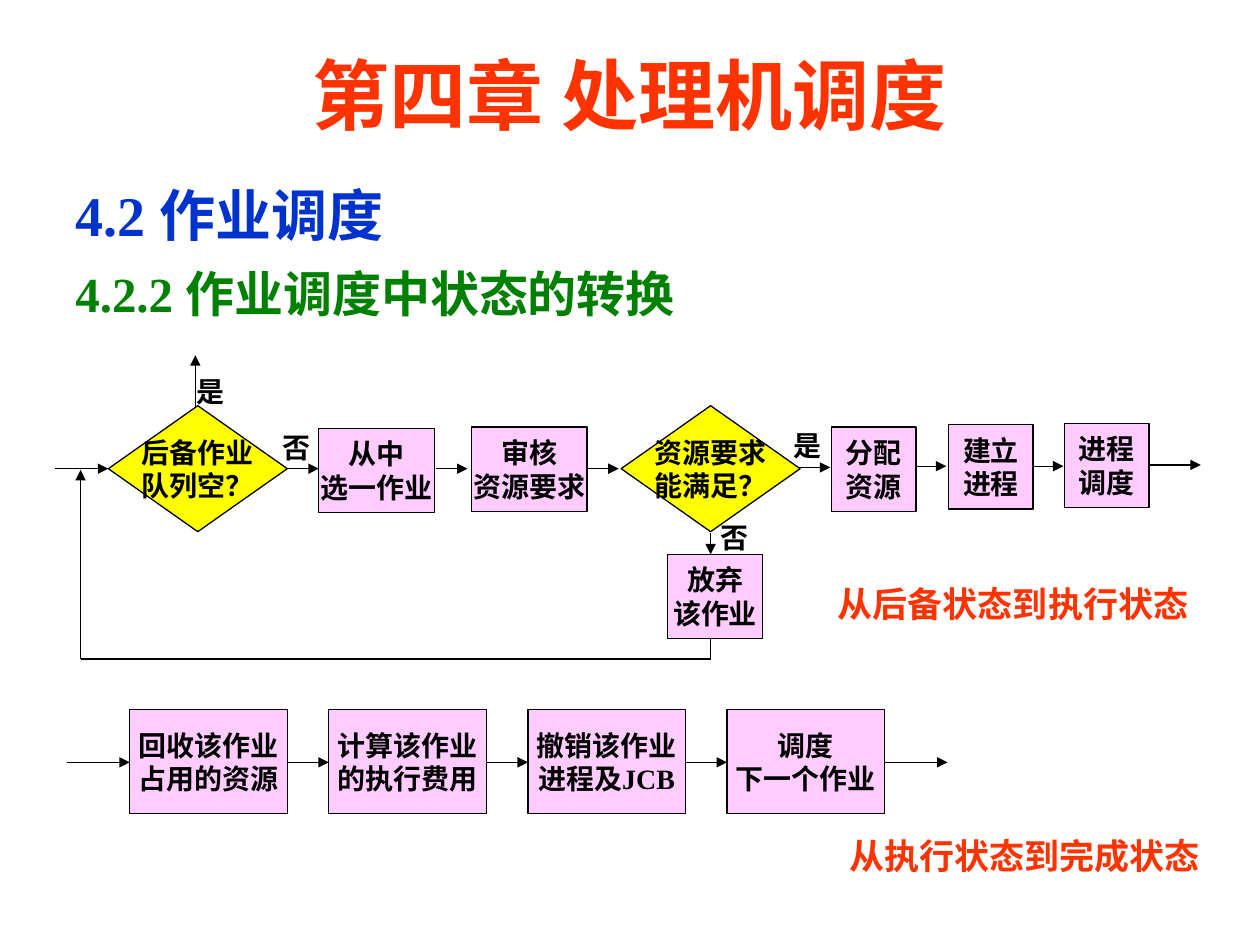
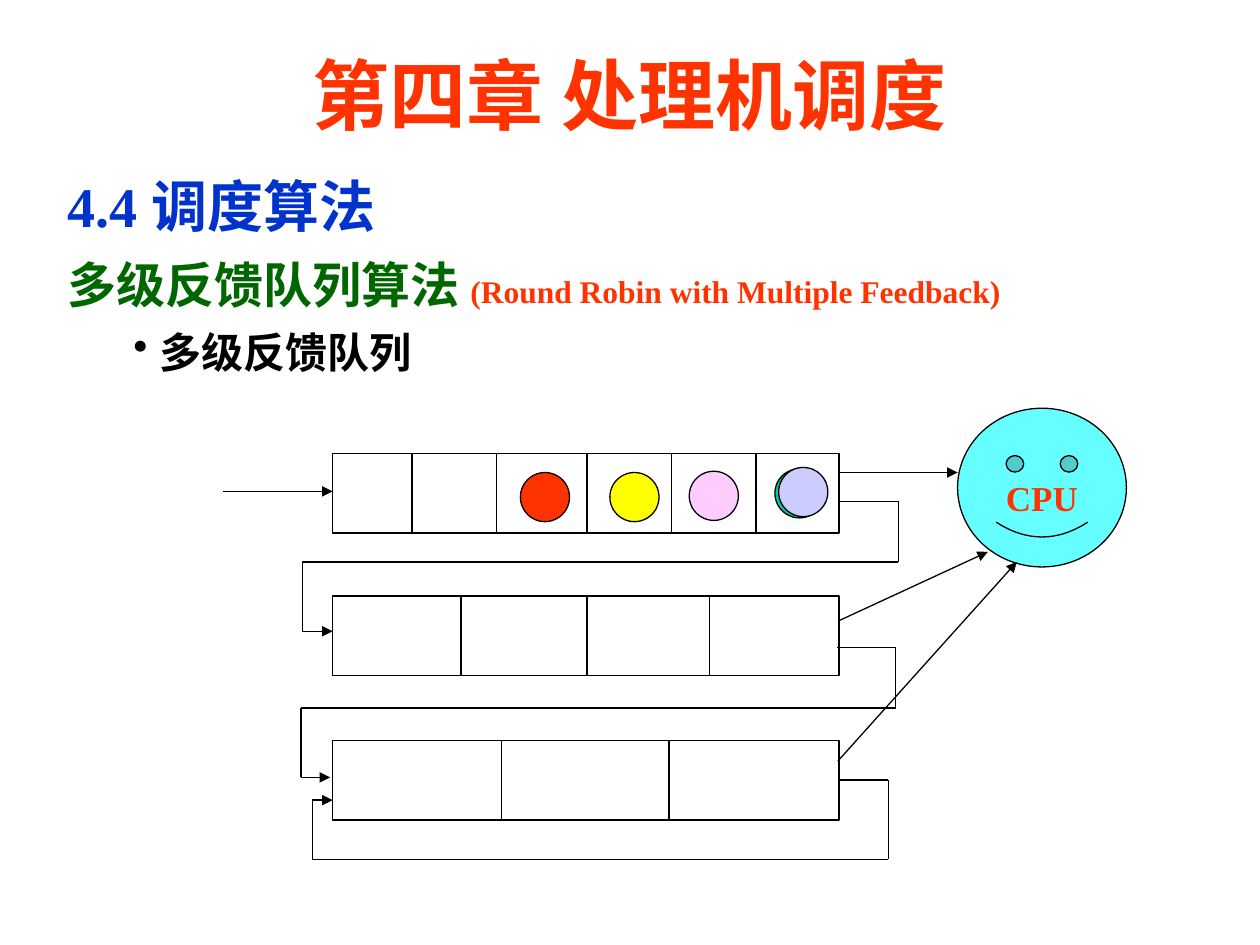
"""Builds two slides on processor scheduling: job state flow and feedback queues."""
from itertools import pairwise
from lxml import etree
from pptx import Presentation
from pptx.dml.color import RGBColor
from pptx.enum import shapes as sh, text as tx
from pptx.oxml import ns
from pptx.util import Inches, Pt

HUES = {"red": "FF3300", "blue": "0033CC", "green": "008000", "moss": "006600",
        "black": "000000", "pink": "FFCCFF", "yellow": "FFFF00", "aqua": "66FFFF",
        "teal": "00CC99", "lilac": "CCCCFF"}
FACE = "Times New Roman"
KIND = sh.MSO_SHAPE


def hue(name):
    return RGBColor.from_string(HUES[name])


def style(para, size, color):
    for run in para.runs:
        font = run.font
        font.name, font.size, font.bold = FACE, Pt(size), True
        font.color.rgb = hue(color)


def place(item, at):
    item.left, item.top, item.width, item.height = map(Inches, at)


def start(deck, title):
    slide = deck.slides.add_slide(deck.slide_layouts[5])
    head = slide.shapes.title
    place(head, (0.75, 0.28, 8.5, 0.92))
    frame = head.text_frame
    frame.text = title
    frame.vertical_anchor = tx.MSO_ANCHOR.MIDDLE
    frame.paragraphs[0].alignment = tx.PP_ALIGN.CENTER
    style(frame.paragraphs[0], 44, "red")
    return slide


def block(slide, at, rows):
    box = slide.shapes.add_textbox(*map(Inches, at))
    frame = box.text_frame
    frame.word_wrap = True
    for num, parts in enumerate(rows):
        para = frame.add_paragraph() if num else frame.paragraphs[0]
        para.line_spacing = 1.1
        para.space_before = Pt(0.2 * parts[0][1] if num else 0)
        for words, size, color in parts:
            run = para.add_run()
            run.text = words
            run.font.name, run.font.size, run.font.bold = FACE, Pt(size), True
            run.font.color.rgb = hue(color)
    return frame


def bullet(para, left, hang):
    prop = para._p.get_or_add_pPr()
    prop.set("marL", str(Inches(left)))
    prop.set("indent", str(-Inches(hang)))
    etree.SubElement(prop, ns.qn("a:buChar")).set("char", "•")


def label(slide, words, at, size=16, color="black"):
    box = slide.shapes.add_textbox(*map(Inches, at))
    box.text_frame.word_wrap = True
    box.text_frame.text = words
    style(box.text_frame.paragraphs[0], size, color)


def node(slide, kind, at, fill=None, words="", size=16, color="black"):
    item = slide.shapes.add_shape(kind, *map(Inches, at))
    item.shadow.inherit = False
    if fill:
        item.fill.solid()
        item.fill.fore_color.rgb = hue(fill)
    else:
        item.fill.background()
    item.line.color.rgb = hue("black")
    item.line.width = Pt(0.75)
    if words:
        frame = item.text_frame
        frame.text = words
        frame.word_wrap = False
        frame.vertical_anchor = tx.MSO_ANCHOR.MIDDLE
        for para in frame.paragraphs:
            para.alignment = tx.PP_ALIGN.CENTER
            style(para, size, color)
    return item


def route(slide, *points, arrow=True):
    for begin, end in pairwise(points):
        line = slide.shapes.add_connector(
            sh.MSO_CONNECTOR.STRAIGHT, *map(Inches, (*begin, *end)))
        line.line.color.rgb = hue("black")
        line.line.width = Pt(0.75)
        etree.SubElement(line._element.spPr, ns.qn("a:effectLst"))
    if arrow:
        tip = etree.SubElement(line.line._get_or_add_ln(), ns.qn("a:tailEnd"))
        tip.set("type", "triangle")


def queue(slide, top, cuts):
    node(slide, KIND.RECTANGLE, (2.64, top, 4.02, 0.63))
    for x in cuts:
        route(slide, (x, top), (x, top + 0.63), arrow=False)


def flow(deck, title):
    slide = start(deck, title)
    block(slide, (0.5, 1.33, 9, 1.33), [
        [("4.2 作业调度", 32, "blue")],
        [("4.2.2 作业调度中状态的转换", 28, "green")]])

    for x, words in ((0.86, "后备作业\n队列空？"), (4.93, "资源要求\n能满足？")):
        node(slide, KIND.FLOWCHART_DECISION, (x, 3.22, 1.42, 1), "yellow", words)
    for x, y, wide, words in (
            (2.53, 3.4, 0.92, "从中\n选一作业"), (3.74, 3.39, 0.92, "审核\n资源要求"),
            (6.6, 3.39, 0.67, "分配\n资源"), (7.53, 3.37, 0.67, "建立\n进程"),
            (8.45, 3.36, 0.67, "进程\n调度"), (5.3, 4.4, 0.75, "放弃\n该作业")):
        node(slide, KIND.RECTANGLE, (x, y, wide, 0.67), "pink", words)

    for x, y, span in ((0.44, 3.72, 0.42), (2.28, 3.72, 0.25), (3.46, 3.72, 0.25),
                       (4.66, 3.72, 0.25), (6.34, 3.71, 0.25), (7.26, 3.7, 0.25),
                       (8.19, 3.7, 0.25), (9.11, 3.69, 0.42)):
        route(slide, (x, y), (x + span, y))
    route(slide, (1.55, 3.23), (1.55, 2.82))
    route(slide, (5.64, 4.23), (5.64, 4.4))
    route(slide, (5.64, 5.07), (5.64, 5.23), (0.64, 5.23), (0.64, 3.73))

    for words, x, y in (("是", 1.46, 2.92), ("否", 2.14, 3.37),
                        ("是", 6.2, 3.35), ("否", 5.62, 4.08)):
        label(slide, words, (x, y, 0.42, 0.37))
    label(slide, "从后备状态到执行状态", (6.55, 4.57, 3.08, 0.43), 20, "red")
    label(slide, "从执行状态到完成状态", (6.64, 6.57, 3.08, 0.43), 20, "red")

    steps = ("回收该作业\n占用的资源", "计算该作业\n的执行费用",
             "撤销该作业\n进程及JCB", "调度\n下一个作业")
    left, wide, gap, mid = 1.03, 1.25, 0.33, 6.05
    route(slide, (left - 0.5, mid), (left, mid))
    for num, words in enumerate(steps):
        x = left + num * (wide + gap)
        node(slide, KIND.RECTANGLE, (x, 5.63, wide, 0.83), "pink", words)
        span = gap if num < len(steps) - 1 else 0.5
        route(slide, (x + wide, mid), (x + wide + span, mid))


def feedback(deck, title):
    slide = start(deck, title)
    face = node(slide, KIND.SMILEY_FACE, (7.6, 3.24, 1.34, 1.26),
                "aqua", "CPU", 20, "red")
    face.text_frame.margin_top = Inches(0.21)
    frame = block(slide, (0.44, 1.26, 9.17, 1.75), [
        [("4.4 调度算法", 32, "blue")],
        [("多级反馈队列算法 ", 28, "moss"),
         ("(Round Robin with Multiple Feedback)", 18, "red")],
        [("多级反馈队列", 24, "black")]])
    bullet(frame.paragraphs[2], 0.73, 0.21)

    queue(slide, 3.6, (3.27, 3.94, 4.66, 5.33, 6))
    queue(slide, 4.73, (3.66, 4.66, 5.63))
    queue(slide, 5.88, (3.98, 5.31))
    for x, y, fill in ((6.15, 3.72, "teal"), (5.47, 3.74, "pink"),
                       (4.84, 3.75, "yellow"), (4.13, 3.75, "red"),
                       (6.18, 3.71, "lilac")):
        node(slide, KIND.OVAL, (x, y, 0.39, 0.39), fill)

    route(slide, (1.77, 3.9), (2.64, 3.9))
    for out, right, y, low, left, back, end in (
            (6.65, 7.13, 3.98, 4.46, 2.4, 5.01, 2.64),
            (6.64, 7.11, 5.14, 5.62, 2.39, 6.17, 2.62),
            (6.65, 7.05, 6.19, 6.82, 2.48, 6.35, 2.64)):
        route(slide, (out, y), (right, y), (right, low),
              (left, low), (left, back), (end, back))
    for y, end in ((3.75, (7.6, 3.75)), (4.93, (7.84, 4.38)), (6.04, (8.07, 4.46))):
        route(slide, (6.65, y), end)


def main():
    deck = Presentation()
    deck.slide_width, deck.slide_height = Inches(10), Inches(7.5)
    title = "第四章 处理机调度"
    flow(deck, title)
    feedback(deck, title)
    deck.save("out.pptx")


if __name__ == "__main__":
    main()
